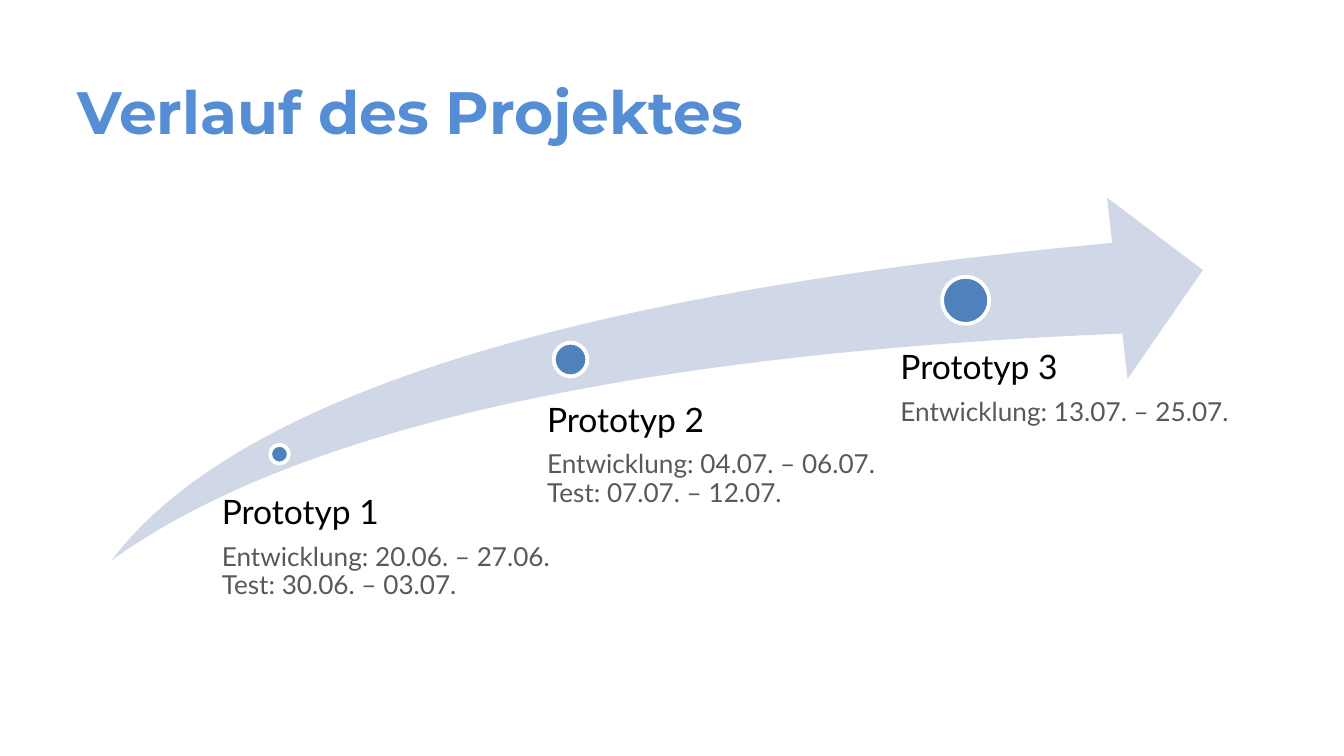
from copy import deepcopy

from pptx import Presentation
from pptx.dml.color import RGBColor
from pptx.enum.shapes import MSO_SHAPE
from pptx.enum.text import MSO_ANCHOR
from pptx.util import Inches, Pt

BLUE, DOT_BLUE, PALE_BLUE = "558ED5", "4F81BD", "D0D8E8"
WHITE, BLACK, GREY = "FFFFFF", "000000", "595959"

# Dot (left, top, diameter), label (left, top, width, height, inset), heading, dates
MILESTONES = [
    ((1.18, 1.84, 0.14), (0.69, 2.22, 3.48, 0.83, 0.13), "Prototyp 1",
     ["Entwicklung: 20.06. – 27.06.", "Test: 30.06. – 03.07."]),
    ((3.29, 1.08, 0.25), (3.11, 1.53, 3.48, 0.83, 0.13), "Prototyp 2",
     ["Entwicklung: 04.07. – 06.07.", "Test: 07.07. – 12.07."]),
    ((6.18, 0.59, 0.35), (5.69, 1.14, 2.65, 2.04, 0.18), "Prototyp 3",
     ["Entwicklung: 13.07. – 25.07."]),
]


def color(value):
    return RGBColor.from_string(value)


def add_span(para, text, font, size, fill, bold=False):
    span = para.add_run()
    span.text = text
    span.font.name = font
    span.font.size = Pt(size)
    span.font.bold = bold
    span.font.color.rgb = color(fill)
    return span


def add_text_frame(page, left, top, width, height, insets):
    """Add a wrapping text box; insets are left, top, right, bottom."""
    box = page.shapes.add_textbox(Inches(left), Inches(top), Inches(width), Inches(height))
    frame = box.text_frame
    frame.word_wrap = True
    frame.vertical_anchor = MSO_ANCHOR.TOP
    (frame.margin_left, frame.margin_top,
     frame.margin_right, frame.margin_bottom) = map(Inches, insets)
    return frame


def add_filled_shape(page, kind, left, top, width, height, fill):
    shape = page.shapes.add_shape(kind, Inches(left), Inches(top), Inches(width), Inches(height))
    shape.shadow.inherit = False
    shape.fill.solid()
    shape.fill.fore_color.rgb = color(fill)
    shape.line.fill.background()
    return shape


def add_title(page, left, top, width, height):
    frame = add_text_frame(page, left, top, width, height, [0.1] * 4)
    add_span(frame.paragraphs[0], "Verlauf des Projektes", "Montserrat", 32, BLUE, bold=True)


def add_dot(page, left, top, diameter):
    dot = add_filled_shape(page, MSO_SHAPE.OVAL, left, top, diameter, diameter, DOT_BLUE)
    dot.line.color.rgb = color(WHITE)
    dot.line.width = Pt(2)


def add_label(page, left, top, width, height, inset, heading, dates):
    frame = add_text_frame(page, left, top, width, height, (inset, 0, 0, 0))
    heading_para, dates_para = frame.paragraphs[0], frame.add_paragraph()
    for para, size in ((heading_para, 18), (dates_para, 14)):
        para.line_spacing = 0.9
        para.space_after = Pt(0.35 * size)
    add_span(heading_para, heading, "Lato", 18, BLACK)
    for index, line in enumerate(dates):
        if index:
            dates_para.add_line_break()
            # The break needs the run's font size to keep the line height
            dates_para._p[-1].append(deepcopy(span.font._rPr))
        span = add_span(dates_para, line, "Lato", 14, GREY)


def add_timeline(page, left, top, width, height):
    arrow = add_filled_shape(page, MSO_SHAPE.SWOOSH_ARROW, left, top, width, height, PALE_BLUE)
    arrow.adjustments[0] = arrow.adjustments[1] = 0.25
    for (dot_x, dot_y, diameter), (x, y, *size_and_inset), heading, dates in MILESTONES:
        add_dot(page, left + dot_x, top + dot_y, diameter)
        add_label(page, left + x, top + y, *size_and_inset, heading, dates)


def main():
    deck = Presentation()
    deck.slide_width = Inches(10)
    deck.slide_height = deck.slide_width * 9 // 16
    page = deck.slides.add_slide(deck.slide_layouts[6])
    add_title(page, 0.48, 0.46, 9.32, 0.63)
    add_timeline(page, 0.83, 1.47, 8.12, 2.7)
    deck.save("out.pptx")


if __name__ == "__main__":
    main()
